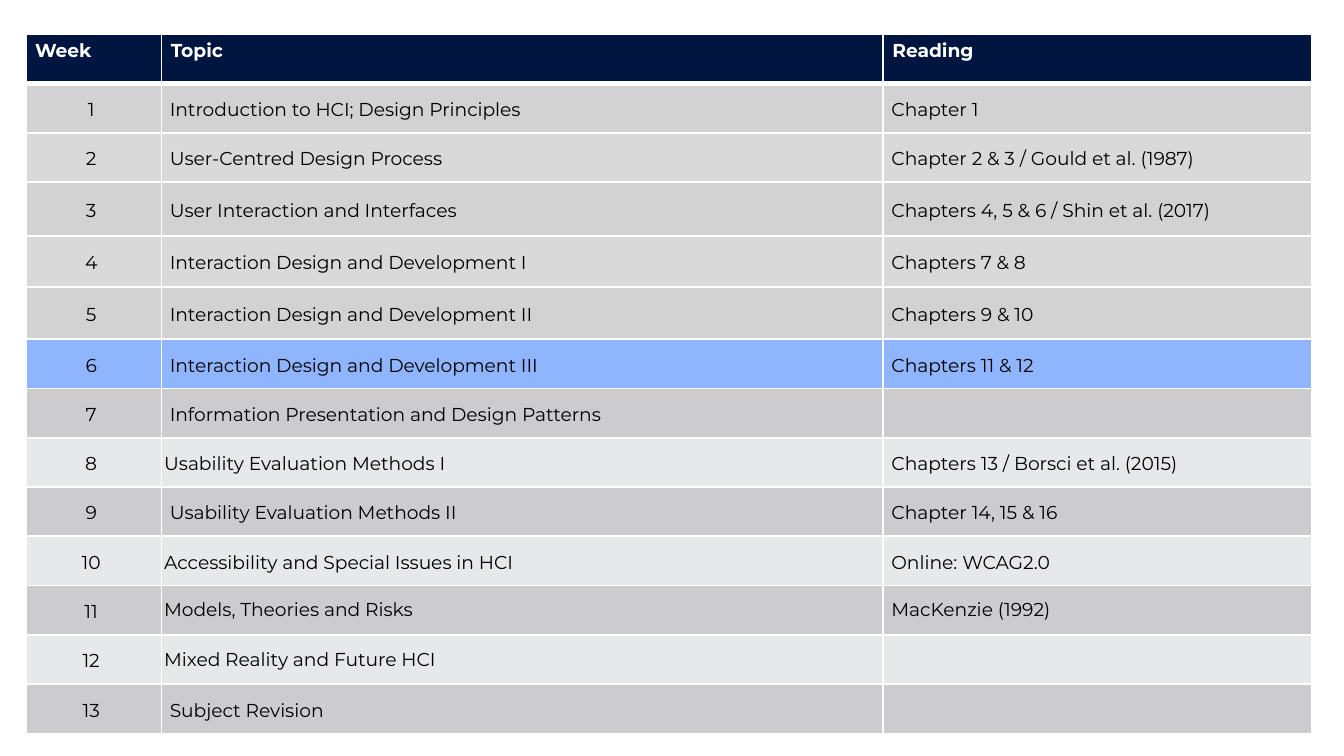
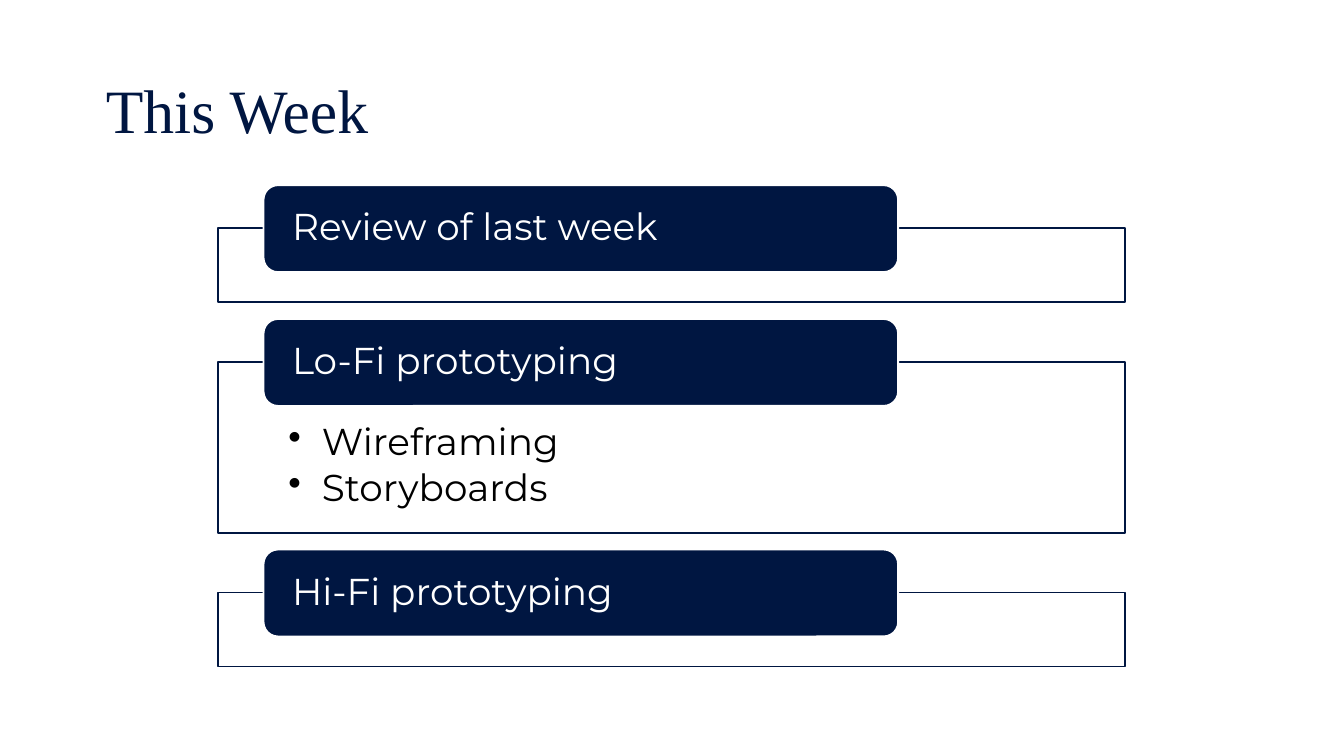
from dataclasses import dataclass

from lxml.etree import SubElement
from pptx import Presentation
from pptx.dml.color import RGBColor
from pptx.enum.shapes import MSO_SHAPE as Preset
from pptx.enum.text import MSO_ANCHOR as Anchor, PP_ALIGN as Align
from pptx.oxml.ns import qn
from pptx.util import Pt

COLOURS = {
    "navy": "001641",
    "white": "FFFFFF",
    "black": "000000",
    "early_odd": "D2D2D2",
    "early_even": "D9D9D9",
    "late_odd": "CCCCCF",
    "late_even": "E7E8E9",
    "current": "90B5FF",
}
BODY_FONT = "Montserrat"
TITLE_FONT = "Times New Roman"

CURRENT_WEEK = 6
COLUMN_WIDTHS = (72.7, 386.6, 229.7)
ROW_HEIGHT = 26.4
TALL_ROWS = {3: 28.8, 4: 27.4, 5: 28}
HEADER_INSETS = (5.04, 2.88)
CELL_INSETS = (4.5, 0)
TIGHT_INSETS = (1.5, 1.5)

PANEL_LEFT, PANEL_TOP, PANEL_WIDTH, PANEL_GAP = 116.8, 122.2, 486, 32
LABEL_LEFT, LABEL_WIDTH, LABEL_HEIGHT, LABEL_RISE = 141.2, 340, 46.6, 23


@dataclass
class Week:
    topic: str
    reading: str = ""
    tight: bool = False
    spacing: float = 1.15


@dataclass
class Section:
    label: str
    height: float = 39.7
    points: tuple[str, ...] = ()


WEEKS = [
    Week("Introduction to HCI; Design Principles", "Chapter 1"),
    Week("User-Centred Design Process", "Chapter 2 & 3 / Gould et al. (1987)"),
    Week("User Interaction and Interfaces", "Chapters 4, 5 & 6 / Shin et al. (2017)"),
    Week("Interaction Design and Development I", "Chapters 7 & 8"),
    Week("Interaction Design and Development II", "Chapters 9 & 10"),
    Week("Interaction Design and Development III", "Chapters 11 & 12"),
    Week("Information Presentation and Design Patterns"),
    Week("Usability Evaluation Methods I", "Chapters 13 / Borsci et al. (2015)", tight=True),
    Week("Usability Evaluation Methods II", "Chapter 14, 15 & 16"),
    Week("Accessibility and Special Issues in HCI", "Online: WCAG2.0", tight=True),
    Week("Models, Theories and Risks", "MacKenzie (1992)", tight=True, spacing=1.0),
    Week("Mixed Reality and Future HCI", tight=True, spacing=1.0),
    Week("Subject Revision"),
]

SECTIONS = [
    Section("Review of last week"),
    Section("Lo-Fi prototyping", 91.5, ("Wireframing", "Storyboards")),
    Section("Hi-Fi prototyping"),
]


def rgb(colour: str) -> RGBColor:
    return RGBColor.from_string(COLOURS[colour])


def write(para, text: str, *, size: float, colour: str, font: str = BODY_FONT,
          bold: bool = False, align=Align.LEFT, spacing: float = 1.0,
          after: float = 0) -> None:
    para.alignment = align
    para.line_spacing = spacing
    para.space_before = Pt(0)
    para.space_after = Pt(after)
    if text:
        span = para.add_run()
        span.text = text
        span.font.name = font
        span.font.size = Pt(size)
        span.font.bold = bold
        span.font.color.rgb = rgb(colour)


def add_bullet(para) -> None:
    para.level = 1
    properties = para._p.get_or_add_pPr()
    properties.set("marL", str(Pt(18)))
    properties.set("indent", str(-Pt(18)))
    SubElement(properties, qn("a:buChar"), char="•")


def add_borders(cell, bottom: float) -> None:
    """Draw white cell borders; call before filling the cell."""
    properties = cell._tc.get_or_add_tcPr()
    for side, width in {"L": 1, "R": 1, "T": 1, "B": bottom}.items():
        line = SubElement(properties, qn(f"a:ln{side}"), w=str(Pt(width)))
        fill = SubElement(line, qn("a:solidFill"))
        SubElement(fill, qn("a:srgbClr"), val=COLOURS["white"])


def fill_cell(cell, text: str, *, fill: str, insets: tuple[float, float] = CELL_INSETS,
              anchor=Anchor.MIDDLE, bottom: float = 1, **text_format) -> None:
    across, down = insets
    cell.margin_left = cell.margin_right = Pt(across)
    cell.margin_top = cell.margin_bottom = Pt(down)
    cell.vertical_anchor = anchor
    add_borders(cell, bottom)
    cell.fill.solid()
    cell.fill.fore_color.rgb = rgb(fill)
    write(cell.text_frame.paragraphs[0], text, size=10, **text_format)


def week_fill(number: int) -> str:
    if number == CURRENT_WEEK:
        return "current"
    period = "early" if number < CURRENT_WEEK else "late"
    return f"{period}_{'odd' if number % 2 else 'even'}"


def build_schedule(deck) -> None:
    page = deck.slides.add_slide(deck.slide_layouts[6])
    heights = [TALL_ROWS.get(row, ROW_HEIGHT) for row in range(len(WEEKS) + 1)]
    table = page.shapes.add_table(
        len(heights), len(COLUMN_WIDTHS), Pt(13.8), Pt(18.4),
        Pt(sum(COLUMN_WIDTHS)), Pt(sum(heights))).table
    table.horz_banding = False
    for column, width in zip(table.columns, COLUMN_WIDTHS):
        column.width = Pt(width)
    for row, height in zip(table.rows, heights):
        row.height = Pt(height)

    for column, heading in enumerate(("Week", "Topic", "Reading")):
        fill_cell(table.cell(0, column), heading, fill="navy", insets=HEADER_INSETS,
                  anchor=Anchor.TOP, bottom=3, colour="white", bold=True)
    for number, week in enumerate(WEEKS, start=1):
        look = {"fill": week_fill(number), "colour": "black"}
        fill_cell(table.cell(number, 0), f"{number} ", align=Align.CENTER,
                  spacing=1.15, **look)
        fill_cell(table.cell(number, 1), week.topic, spacing=week.spacing,
                  insets=TIGHT_INSETS if week.tight else CELL_INSETS, **look)
        fill_cell(table.cell(number, 2), week.reading, spacing=week.spacing, **look)


def add_box(page, preset, left: float, top: float, width: float, height: float, *,
            fill: str, line: str, insets: tuple[float, float, float, float], anchor):
    box = page.shapes.add_shape(preset, Pt(left), Pt(top), Pt(width), Pt(height))
    box.shadow.inherit = False
    box.fill.solid()
    box.fill.fore_color.rgb = rgb(fill)
    box.line.color.rgb = rgb(line)
    box.line.width = Pt(1)
    frame = box.text_frame
    frame.word_wrap = True
    frame.vertical_anchor = anchor
    (frame.margin_left, frame.margin_top,
     frame.margin_right, frame.margin_bottom) = map(Pt, insets)
    return box


def add_section(page, section: Section, top: float) -> None:
    panel = add_box(page, Preset.RECTANGLE, PANEL_LEFT, top, PANEL_WIDTH, section.height,
                    fill="white", line="navy", insets=(37.7, 33.1, 37.7, 11.5),
                    anchor=Anchor.TOP)
    panel_colour = panel._element.spPr.find(qn("a:solidFill")).find(qn("a:srgbClr"))
    SubElement(panel_colour, qn("a:alpha"), val="90000")
    frame = panel.text_frame
    for index, point in enumerate(section.points):
        para = frame.add_paragraph() if index else frame.paragraphs[0]
        write(para, point, size=20, colour="black", spacing=0.9, after=3)
        add_bullet(para)

    label = add_box(page, Preset.ROUNDED_RECTANGLE, LABEL_LEFT, top - LABEL_RISE,
                    LABEL_WIDTH, LABEL_HEIGHT, fill="navy", line="white",
                    insets=(13, 0, 13, 0), anchor=Anchor.MIDDLE)
    write(label.text_frame.paragraphs[0], section.label, size=20, colour="white",
          spacing=0.9)


def build_this_week(deck) -> None:
    page = deck.slides.add_slide(deck.slide_layouts[5])
    title = page.shapes.title
    title.left, title.top, title.width, title.height = map(Pt, (49.5, 21.6, 621, 78.3))
    title.text_frame.vertical_anchor = Anchor.MIDDLE
    write(title.text_frame.paragraphs[0], "This Week", size=33, colour="navy",
          font=TITLE_FONT, spacing=0.9)
    top = PANEL_TOP
    for section in SECTIONS:
        add_section(page, section, top)
        top += section.height + PANEL_GAP


def main() -> None:
    deck = Presentation()
    deck.slide_width, deck.slide_height = Pt(720), Pt(405)
    build_schedule(deck)
    build_this_week(deck)
    deck.save("out.pptx")


if __name__ == "__main__":
    main()
